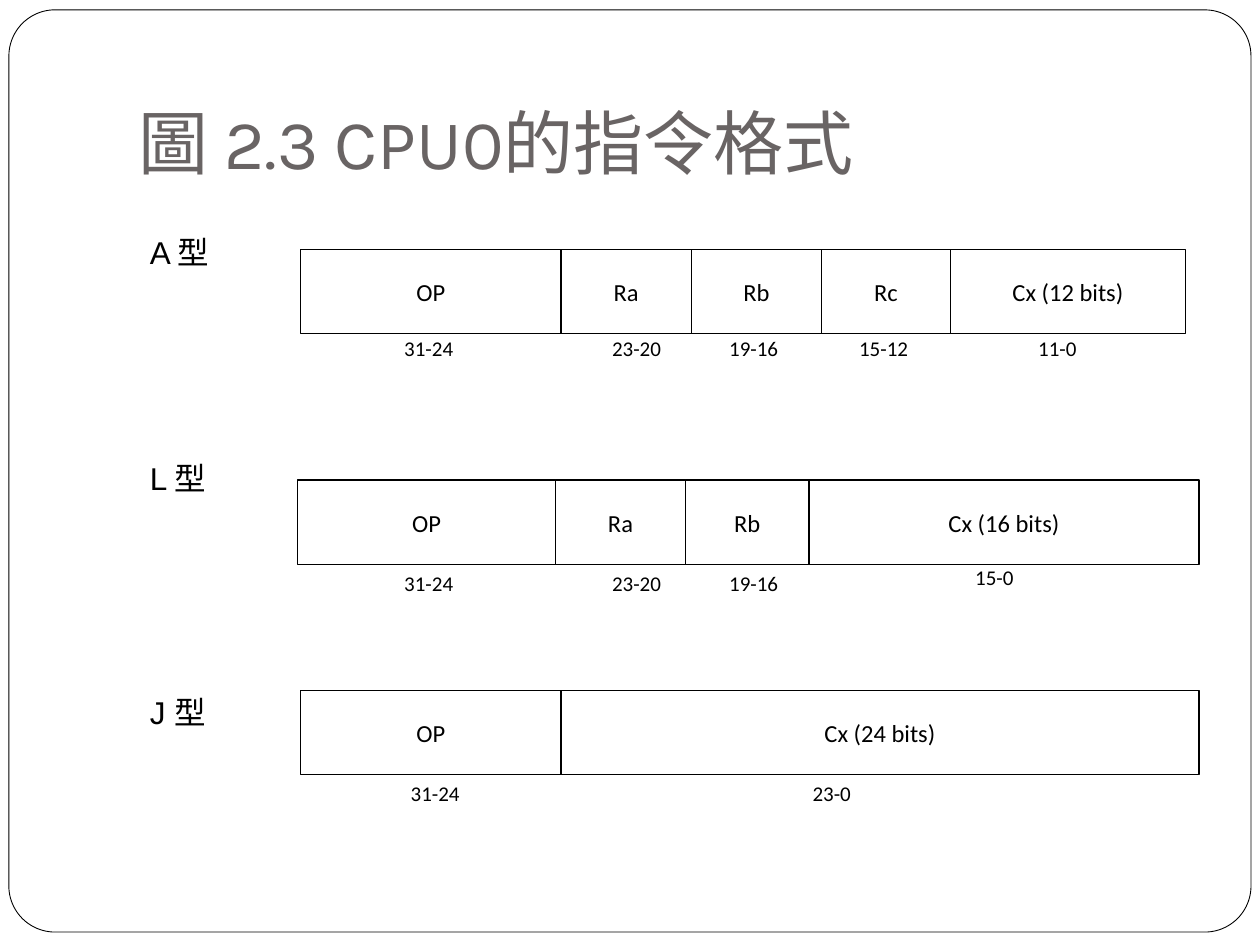
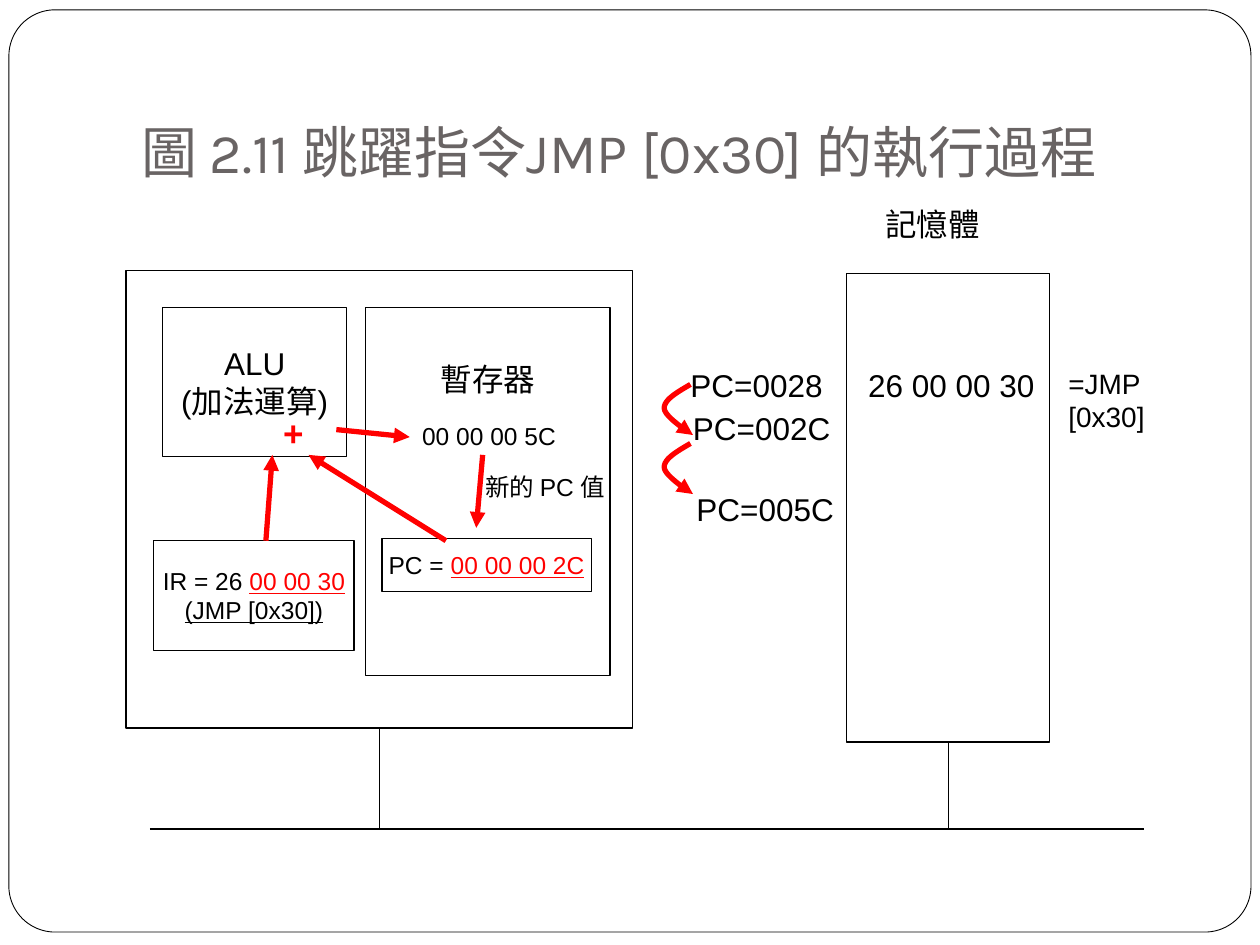
from dataclasses import dataclass
from typing import NamedTuple

import pptx
import pptx.dml.color
import pptx.enum.shapes
import pptx.enum.text
import pptx.oxml
import pptx.oxml.ns
import pptx.util
from pptx.util import Cm

BLACK = pptx.dml.color.RGBColor(0x00, 0x00, 0x00)
RED = pptx.dml.color.RGBColor(0xFF, 0x00, 0x00)
GREY = pptx.dml.color.RGBColor(0x69, 0x64, 0x64)
SHAPE = pptx.enum.shapes.MSO_SHAPE
ANCHOR = pptx.enum.text.MSO_ANCHOR
ALIGN = pptx.enum.text.PP_ALIGN
NS = pptx.oxml.ns.nsdecls("a")
CELL = 1.7  # height of an instruction field


class Run(NamedTuple):
    text: str
    color: pptx.dml.color.RGBColor = BLACK
    under: bool = False


@dataclass
class Box:
    """Framed box or bare label; lengths in cm, one tuple of runs a line."""
    left: float
    top: float
    width: float
    height: float
    lines: tuple[tuple[Run, ...], ...] = ()
    size: int = 18
    font: str = "Arial"
    bold: bool = False
    wrap: bool = False
    inset: float | None = None  # top margin of text hung from the top


class Field(NamedTuple):
    name: str
    right: float
    bits: str
    left: float  # of the bit range below
    lift: float = 0


class Format(NamedTuple):
    kind: str
    mark: float  # top of the kind label
    left: float
    top: float
    base: float  # top of the bit ranges
    fields: tuple[Field, ...]


class Line(NamedTuple):
    x1: float
    y1: float
    x2: float
    y2: float


def plain(*lines: str) -> tuple[tuple[Run, ...], ...]:
    return tuple((Run(line),) for line in lines)


def write(shape, box: Box, align) -> None:
    frame = shape.text_frame
    frame.word_wrap = box.wrap
    for num, runs in enumerate(box.lines):
        para = frame.add_paragraph() if num else frame.paragraphs[0]
        para.alignment = align
        font = para.font
        font.name, font.size, font.bold = box.font, pptx.util.Pt(box.size), box.bold
        font.color.rgb = runs[0].color
        for part in runs:
            run = para.add_run()
            run.text = part.text
            run.font.color.rgb = part.color
            if part.under:
                run.font.underline = True


def outline(shape, color, width: float) -> None:
    shape.shadow.inherit = False
    shape.fill.background()
    shape.line.color.rgb = color
    shape.line.width = pptx.util.Pt(width)


def add_box(slide, box: Box):
    shape = slide.shapes.add_shape(
        SHAPE.RECTANGLE, Cm(box.left), Cm(box.top), Cm(box.width), Cm(box.height))
    outline(shape, BLACK, 0.75)
    frame = shape.text_frame
    frame.vertical_anchor = ANCHOR.MIDDLE
    if box.inset is not None:
        frame.vertical_anchor = ANCHOR.TOP
        frame.margin_top = Cm(box.inset)
    write(shape, box, ALIGN.CENTER)
    return shape


def add_label(slide, box: Box) -> None:
    shape = slide.shapes.add_textbox(
        Cm(box.left), Cm(box.top), Cm(box.width), Cm(box.height))
    write(shape, box, ALIGN.LEFT)


def add_head(shape) -> None:
    """Put an arrowhead at the end of the line."""
    shape.line._get_or_add_ln().append(
        pptx.oxml.parse_xml(f'<a:tailEnd {NS} type="triangle"/>'))


def add_line(slide, line: Line, color=BLACK, width: float = 0.75):
    link = slide.shapes.add_connector(
        pptx.enum.shapes.MSO_CONNECTOR.STRAIGHT, *map(Cm, line))
    link.line.color.rgb = color
    link.line.width = pptx.util.Pt(width)
    link._element.spPr.append(pptx.oxml.parse_xml(f"<a:effectLst {NS}/>"))
    return link


def add_arrow(slide, line: Line) -> None:
    add_head(add_line(slide, line, RED, 3))


def bezier(a, b, c, d, steps: int = 12) -> list[tuple[int, int]]:
    """Points along a cubic curve, without its start."""
    points = []
    for step in range(1, steps + 1):
        t = step / steps
        u = 1 - t
        points.append(tuple(
            Cm(u**3 * p + 3 * u * u * t * q + 3 * u * t * t * r + t**3 * s)
            for p, q, r, s in zip(a, b, c, d)))
    return points


def add_hop(slide, top: float) -> None:
    """Curved arrow from one PC value to the next."""
    start, turn, end = (13.92, top), (13.39, top + 0.48), (13.97, top + 1.02)
    points = bezier(start, (13.67, top + 0.15), (13.39, top + 0.3), turn)
    points += bezier(turn, (13.39, top + 0.66), end, end)
    path = slide.shapes.build_freeform(Cm(start[0]), Cm(start[1]))
    path.add_line_segments(points, close=False)
    shape = path.convert_to_shape()
    outline(shape, RED, 3)
    add_head(shape)


def add_slide(deck, text: str, left: float, top: float, size: int):
    """Title-only slide with the rounded frame."""
    slide = deck.slides.add_slide(deck.slide_layouts[5])
    edge = slide.shapes.add_shape(
        SHAPE.ROUNDED_RECTANGLE, Cm(0.18), Cm(0.2), Cm(25.04), Cm(18.59))
    edge.adjustments[0] = 0.05
    outline(edge, BLACK, 0.5)
    title = slide.shapes.title
    title.left, title.top = Cm(left), Cm(top)
    title.width, title.height = Cm(21.59), Cm(3.18)
    frame = title.text_frame
    frame.auto_size = pptx.enum.text.MSO_AUTO_SIZE.NONE
    frame.vertical_anchor = ANCHOR.BOTTOM
    frame.margin_bottom = Cm(0.25)
    box = Box(left, top, 21.59, 3.18, ((Run(text, GREY),),), size, "Karla", wrap=True)
    write(title, box, ALIGN.LEFT)
    return slide


FORMATS = (
    Format("A 型", 4.57, 6.06, 5.03, 6.63, (
        Field("OP", 11.31, "31-24", 7.9),
        Field("Ra", 13.94, "23-20", 12.09),
        Field("Rb", 16.56, "19-16", 14.45),
        Field("Rc", 19.16, "15-12", 17.07),
        Field("Cx (12 bits)", 23.9, "11-0", 20.68))),
    Format("L 型", 9.12, 6, 9.68, 11.38, (
        Field("OP", 11.2, "31-24", 7.9),
        Field("Ra", 13.82, "23-20", 12.09),
        Field("Rb", 16.31, "19-16", 14.45),
        Field("Cx (16 bits)", 24.17, "15-0", 19.41, 0.13))),
    Format("J 型", 13.84, 6.06, 13.92, 15.62, (
        Field("OP", 11.31, "31-24", 8.03),
        Field("Cx (24 bits)", 24.17, "23-0", 16.13))),
)

CPU = Box(2.54, 5.46, 10.21, 9.22)
MEMORY = Box(17.07, 5.51, 4.09, 9.45)
UNITS = (
    Box(3.28, 6.2, 3.71, 3, plain("ALU", "(加法運算)")),
    Box(7.37, 6.2, 4.93, 7.42, plain("暫存器"), inset=1.05),
    Box(3.1, 10.9, 4.04, 2.21, (
        (Run("IR = 26 "), Run("00 00 30", RED, True)),
        (Run("(JMP [0x30])", under=True),)), 14),
    Box(7.7, 10.85, 4.22, 1.07,
        ((Run("PC = "), Run("00 00 00 2C", RED, True)),), 14),
)
LABELS = (
    Box(17.6, 4.01, 2.6, 1.02, plain("記憶體")),
    Box(13.67, 7.26, 3.4, 1.02, plain("PC=0028")),
    Box(13.72, 8.13, 3.4, 1.02, plain("PC=002C")),
    Box(13.79, 9.75, 3.4, 1.02, plain("PC=005C")),
    Box(17.25, 7.26, 4, 1.02, plain("26 00 00 30")),
    Box(21.29, 7.26, 3.53, 1.63, plain("=JMP [0x30]"), 16, wrap=True),
    Box(5.46, 8.18, 1, 1.12, ((Run("+", RED),),), 20, bold=True),
    Box(8.26, 8.36, 3.4, 0.86, plain("00 00 00 5C"), 14),
    Box(9.53, 9.4, 3.6, 0.86, plain("新的 PC 值"), 14),
)
ARROWS = (
    Line(6.78, 8.66, 8.26, 8.81),
    Line(9.73, 9.17, 9.6, 10.64),
    Line(8.99, 10.9, 6.22, 9.17),
    Line(5.36, 10.9, 5.49, 9.17),
)
BUS = Line(3.02, 16.71, 23.06, 16.71)


def draw_formats(deck) -> None:
    slide = add_slide(deck, "圖 2.3 CPU0的指令格式", 2.54, 0.76, 40)
    for row in FORMATS:
        add_label(slide, Box(2.77, row.mark, 2.2, 1.02, plain(row.kind)))
        left = row.left
        for field in row.fields:
            add_box(slide, Box(left, row.top, field.right - left, CELL,
                               plain(field.name), 14, "Calibri"))
            add_label(slide, Box(field.left, row.base - field.lift, 1.7, 0.76,
                                 plain(field.bits), 12, "Calibri"))
            left = field.right


def draw_jump(deck) -> None:
    slide = add_slide(deck, "圖 2.11 跳躍指令JMP [0x30] 的執行過程", 2.59, 0.79, 32)
    add_line(slide, BUS)
    for box in (CPU, MEMORY):
        mid = box.left + box.width / 2
        stub = add_line(slide, Line(mid, box.top + box.height, mid, BUS.y1))
        stub.begin_connect(add_box(slide, box), 2)
    for unit in UNITS:
        add_box(slide, unit)
    for label in LABELS:
        add_label(slide, label)
    for arrow in ARROWS:
        add_arrow(slide, arrow)
    for top in (7.75, 8.94):
        add_hop(slide, top)


def main() -> None:
    deck = pptx.Presentation()
    deck.slide_width, deck.slide_height = Cm(25.4), Cm(19.05)
    draw_formats(deck)
    draw_jump(deck)
    deck.save("out.pptx")


if __name__ == "__main__":
    main()
